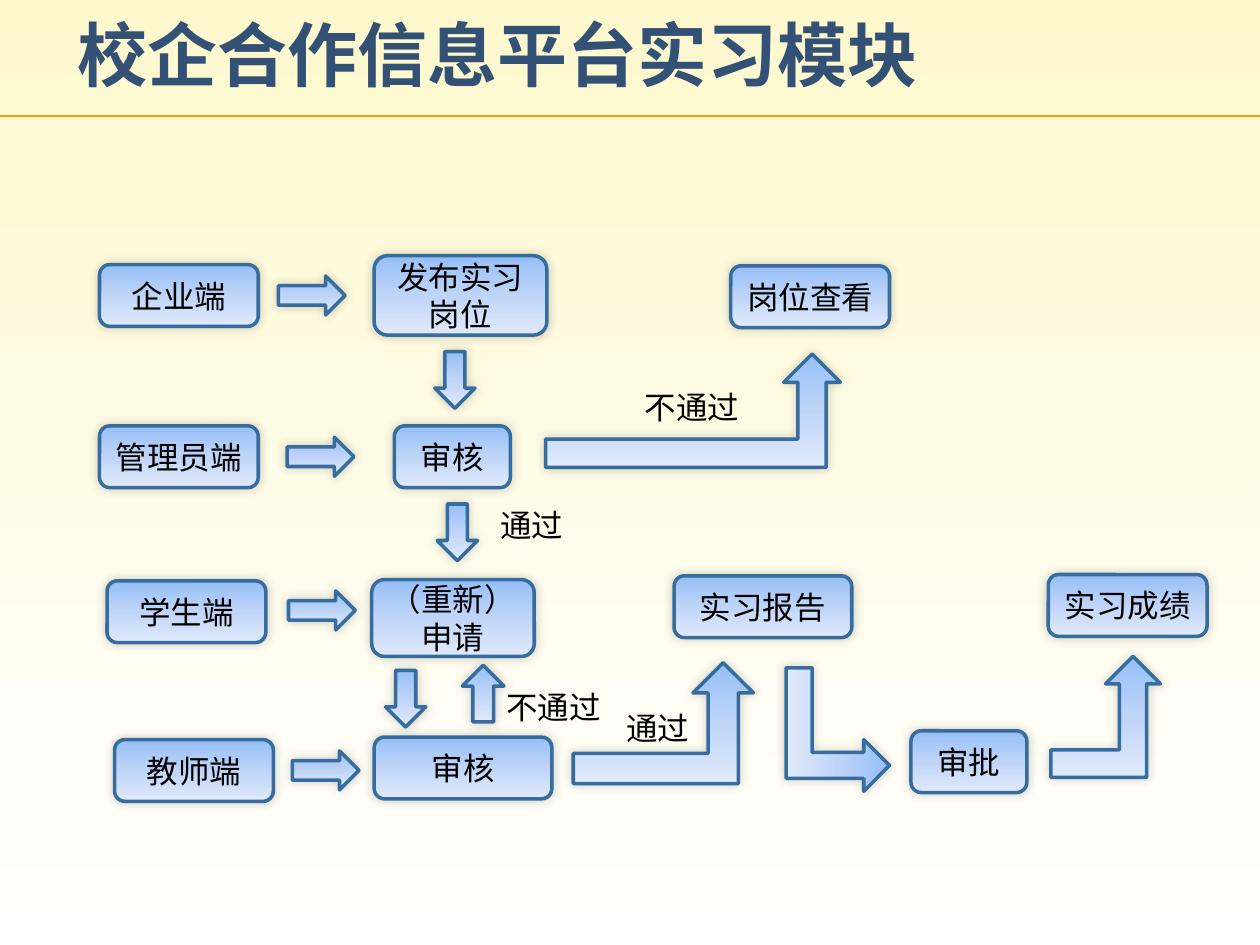
from copy import deepcopy

from lxml import etree
from pptx import Presentation
from pptx.dml.color import RGBColor
from pptx.enum.shapes import MSO_CONNECTOR as Connector, MSO_SHAPE as Shape
from pptx.enum.text import MSO_ANCHOR as Anchor, PP_ALIGN as Align
from pptx.oxml.ns import qn
from pptx.util import Inches, Pt

CREAM = RGBColor(0xFD, 0xF8, 0xCD)
WHITE = RGBColor(0xFF, 0xFF, 0xFF)
BLACK = RGBColor(0x00, 0x00, 0x00)
ORANGE = RGBColor(0xFF, 0x99, 0x00)
NAVY = RGBColor(0x33, 0x51, 0x75)
OUTLINE = RGBColor(0x37, 0x6D, 0x9E)
BLUES = [RGBColor(0x95, 0xBE, 0xF7), RGBColor(0xBF, 0xD5, 0xF8), RGBColor(0xE0, 0xEA, 0xFB)]

BOX_HEIGHT = 0.49
RIGHT_ARROW = (0.53, 0.31)
DOWN_ARROW = (0.32, 0.45)

# Positions below are left, top (and width, height) within the diagram
ROLES = [
    ("企业端", 0.04, 0.1),
    ("管理员端", 0.04, 1.38),
    ("学生端", 0.1, 2.61),
    ("教师端", 0.16, 3.87),
]
STEPS = [
    ("发布实习岗位", 2.22, 0.03, 1.37, 0.63),
    ("审核", 2.38, 1.38, 0.92, BOX_HEIGHT),
    ("（重新）申请", 2.2, 2.6, 1.29, 0.61),
    ("审核", 2.22, 3.85, 1.41, BOX_HEIGHT),
    ("岗位查看", 5.05, 0.11, 1.26, BOX_HEIGHT),
    ("实习报告", 4.6, 2.57, 1.41, BOX_HEIGHT),
    ("审批", 6.48, 3.8, 0.92, BOX_HEIGHT),
    ("实习成绩", 7.57, 2.56, 1.26, BOX_HEIGHT),
]
STRAIGHT_ARROWS = [
    (Shape.RIGHT_ARROW, RIGHT_ARROW, [(1.46, 0.19), (1.53, 1.47), (1.54, 2.69), (1.57, 3.96)]),
    (Shape.DOWN_ARROW, DOWN_ARROW, [(2.7, 0.79), (2.72, 2.0), (2.31, 3.32)]),
    (Shape.UP_ARROW, (0.33, 0.45), [(2.92, 3.28)]),
]
BENT_ARROWS = [  # last value is the rotation
    (3.58, 0.81, 2.34, 0.9, 0),
    (3.8, 3.26, 1.43, 0.96, 0),
    (5.41, 3.38, 0.98, 0.82, 90),
    (7.59, 3.21, 0.87, 0.96, 0),
]
OUTCOMES = [
    ("不通过", 4.27, 1.03, 0.96),
    ("通过", 3.12, 1.97, 0.71),
    ("不通过", 3.17, 3.41, 0.96),
    ("通过", 4.12, 3.58, 0.71),
]


def fill_gradient(fill, colors):
    """Fill downwards with evenly spaced colours."""
    fill.gradient()
    fill.gradient_angle = 270
    first = fill.gradient_stops[0]._gs
    for _ in colors[2:]:
        first.addnext(deepcopy(first))
    for index, (stop, color) in enumerate(zip(fill.gradient_stops, colors)):
        stop.color.rgb = color
        stop.position = index / (len(colors) - 1)


def set_text(shape, text, size, color, bold=False):
    shape.text_frame.text = text
    font = shape.text_frame.paragraphs[0].runs[0].font
    font.name, font.size, font.bold = "Arial", Pt(size), bold
    font.color.rgb = color


def add_glow(shape):
    """Give the shape a soft shadow without offset."""
    shape.shadow.inherit = False
    effects = shape._element.spPr.find(qn("a:effectLst"))
    shadow = etree.SubElement(effects, qn("a:outerShdw"), blurRad=str(Pt(6)), dist="0", rotWithShape="0")
    color = etree.SubElement(shadow, qn("a:srgbClr"), val="000000")
    etree.SubElement(color, qn("a:alpha"), val="20000")


def add_blue_shape(slide, kind, left, top, width, height):
    shape = slide.shapes.add_shape(kind, Inches(left), Inches(top), Inches(width), Inches(height))
    fill_gradient(shape.fill, BLUES)
    shape.line.color.rgb = OUTLINE
    shape.line.width = Pt(2)
    add_glow(shape)
    return shape


def add_box(slide, text, left, top, width, height):
    box = add_blue_shape(slide, Shape.ROUNDED_RECTANGLE, left, top, width, height)
    set_text(box, text, 18, BLACK)
    box.text_frame.word_wrap = True
    box.text_frame.vertical_anchor = Anchor.MIDDLE
    box.text_frame.paragraphs[0].alignment = Align.CENTER


def add_title_band(slide, left, top, width, height):
    # Rule under the title
    bottom = Inches(top + height)
    rule = slide.shapes.add_connector(Connector.STRAIGHT, Inches(left), bottom, Inches(left + width), bottom)
    rule.line.color.rgb = ORANGE
    rule.line.width = Pt(1.5)
    etree.SubElement(rule._element.spPr, qn("a:effectLst"))

    # Title
    title = slide.shapes.add_textbox(Inches(left + 0.52), Inches(top + 0.04), Inches(9), Inches(1.25))
    title.text_frame.word_wrap = True
    set_text(title, "校企合作信息平台实习模块", 40, NAVY, bold=True)


def add_process(slide, left, top):
    # Roles and steps
    for text, x, y in ROLES:
        add_box(slide, text, left + x, top + y, 1.26, BOX_HEIGHT)
    for text, x, y, width, height in STEPS:
        add_box(slide, text, left + x, top + y, width, height)

    # Arrows
    for kind, size, places in STRAIGHT_ARROWS:
        for x, y in places:
            add_blue_shape(slide, kind, left + x, top + y, *size)
    for x, y, width, height, rotation in BENT_ARROWS:
        arrow = add_blue_shape(slide, Shape.BENT_UP_ARROW, left + x, top + y, width, height)
        arrow.rotation = rotation

    # Outcome labels
    for text, x, y, width in OUTCOMES:
        label = slide.shapes.add_textbox(Inches(left + x), Inches(top + y), Inches(width), Inches(0.4))
        label.text_frame.word_wrap = False
        set_text(label, text, 18, BLACK)


def main():
    presentation = Presentation()
    presentation.slide_width = Inches(10)
    presentation.slide_height = Inches(7.5)
    slide = presentation.slides.add_slide(presentation.slide_layouts[6])
    fill_gradient(slide.background.fill, [CREAM, WHITE])
    add_title_band(slide, 0, 0, 10, 0.92)
    add_process(slide, 0.75, 2)
    presentation.save("out.pptx")


if __name__ == "__main__":
    main()
